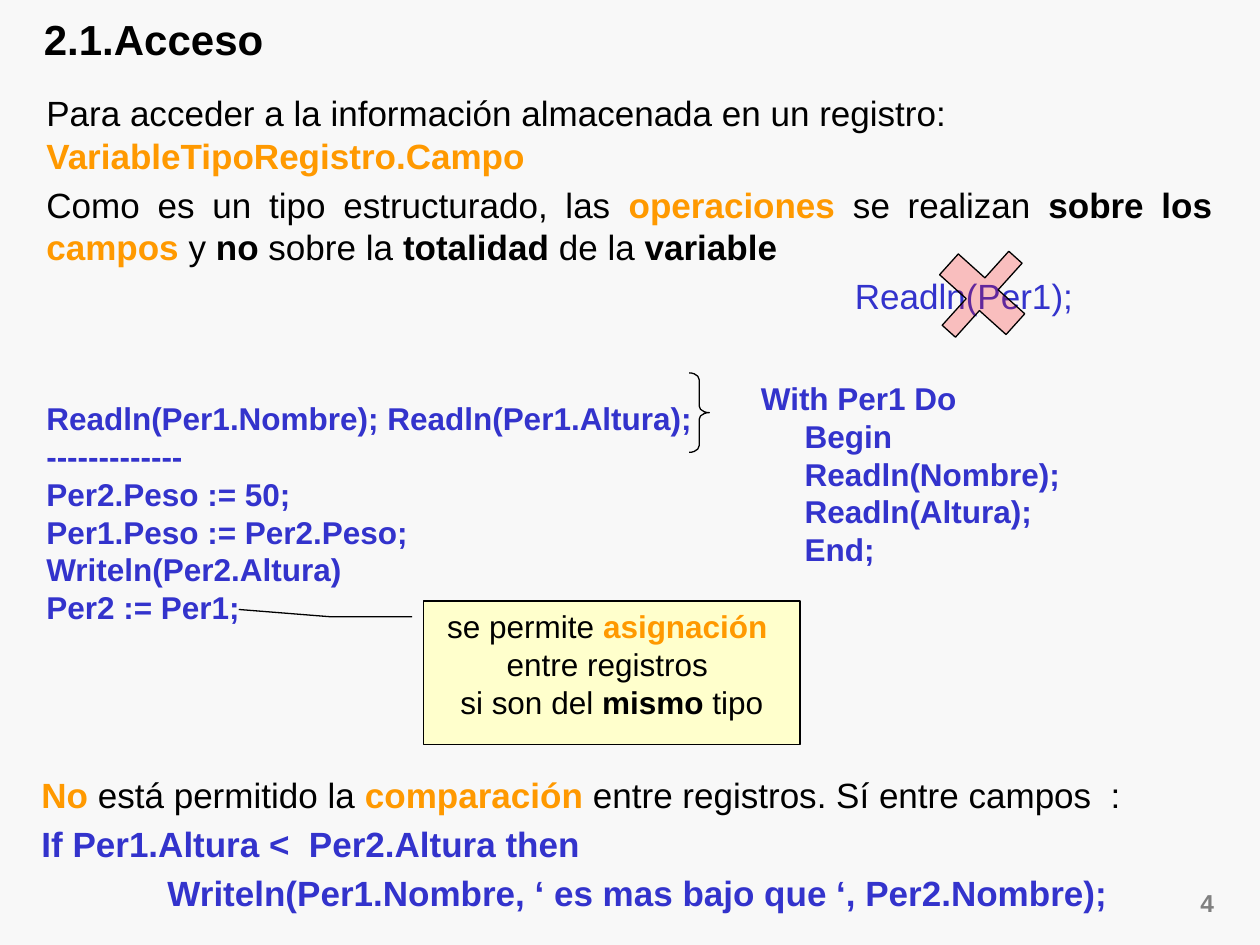
from lxml.etree import SubElement
from pptx import Presentation
from pptx.dml.color import RGBColor
from pptx.enum.shapes import MSO_SHAPE
from pptx.enum.text import MSO_ANCHOR, PP_ALIGN
from pptx.oxml.ns import qn
from pptx.util import Pt

HUES = {
    "back": "F8F8F8", "black": "000000", "orange": "FF9900", "blue": "3333CC",
    "gray": "808080", "red": "FF0000", "cream": "FFFFCC",
}
LEFT, MID, RIGHT, FULL = PP_ALIGN.LEFT, PP_ALIGN.CENTER, PP_ALIGN.RIGHT, PP_ALIGN.JUSTIFY


def tint(name):
    return RGBColor.from_string(HUES[name])


def write(lines, box=None, shape=None, size=18, hue="black", bold=False,
          align=LEFT, gap=0, dents=None, anchor=MSO_ANCHOR.TOP):
    if shape is None:
        shape = slide.shapes.add_textbox(*map(Pt, box))
    frame = shape.text_frame
    frame.word_wrap = True
    frame.vertical_anchor = anchor
    for i, line in enumerate(lines):
        para = frame.paragraphs[0] if i == 0 else frame.add_paragraph()
        para.alignment = align[i] if isinstance(align, list) else align
        para.space_before = Pt(gap)
        if dents and dents[i]:
            para._p.get_or_add_pPr().set("marL", str(Pt(dents[i])))
        for part in [line] if isinstance(line, str) else line:
            words, shade, heavy = (part, hue, bold) if isinstance(part, str) else part
            run = para.add_run()
            run.text = words
            font = run.font
            font.name, font.size, font.bold = "Arial", Pt(size), heavy
            font.color.rgb = tint(shade)


def draw(kind, box, ratios, fill=None):
    shape = slide.shapes.add_shape(kind, *map(Pt, box))
    shape.shadow.inherit = False
    for i, ratio in enumerate(ratios):
        shape.adjustments[i] = ratio
    if fill:
        shape.fill.solid()
        shape.fill.fore_color.rgb = tint(fill)
    else:
        shape.fill.background()
    shape.line.color.rgb = tint("black")
    shape.line.width = Pt(0.75)
    return shape


deck = Presentation()
deck.slide_width, deck.slide_height = Pt(720), Pt(540)
slide = deck.slides.add_slide(deck.slide_layouts[6])
slide.background.fill.solid()
slide.background.fill.fore_color.rgb = tint("back")

write(["4"], box=(654, 504, 46.8, 24), size=14, hue="gray", bold=True, align=RIGHT)
write(["2.1.Acceso"], box=(18, 3.6, 687.6, 37.4), size=24, bold=True,
      anchor=MSO_ANCHOR.MIDDLE)

write([
    ["Para acceder a la información almacenada en un registro: ",
     ("VariableTipoRegistro.Campo", "orange", True)],
    ["Como es un tipo estructurado, las ", ("operaciones", "orange", True),
     " se realizan ", ("sobre los ", "black", True), ("campos ", "orange", True),
     "y ", ("no ", "black", True), "sobre la ", ("totalidad ", "black", True),
     "de la ", ("variable", "black", True)],
    [("Readln(Per1);", "blue", False)],
], box=(19.4, 49, 680.4, 138.2), size=20, gap=4, align=[LEFT, FULL, LEFT],
    dents=[0, 0, 462])

write([
    "Readln(Per1.Nombre); Readln(Per1.Altura);",
    "-------------",
    "Per2.Peso := 50;",
    "Per1.Peso := Per2.Peso;",
    "Writeln(Per2.Altura)",
    "Per2 := Per1;",
], box=(19.4, 224.6, 386, 158.4), hue="blue", bold=True)

write([
    [("No", "orange", True), (" está permitido la ", "black", False),
     ("comparación", "orange", True),
     (" entre registros. Sí entre campos  :", "black", False)],
    "If Per1.Altura <  Per2.Altura then",
    "Writeln(Per1.Nombre, ‘ es mas bajo que ‘, Per2.Nombre);",
], box=(16.6, 438.5, 672.5, 118.8), size=20, hue="blue", bold=True,
    align=FULL, gap=4, dents=[0, 0, 72])

cross = draw(MSO_SHAPE.CROSS, (535.7, 139.7, 51.1, 56.9), [0.4], fill="red")
cross.rotation = 42
shade = cross._element.spPr.find(qn("a:solidFill"))[0]
SubElement(shade, qn("a:alpha")).set("val", "23000")

note = draw(MSO_SHAPE.LINE_CALLOUT_2, (241.9, 343.4, 215.3, 82.1),
            [0.11, -0.03, 0.11, -0.25, 0.06, -0.49], fill="cream")
write([
    ["se permite ", ("asignación ", "orange", True)],
    "entre registros ",
    ["si son del ", ("mismo", "black", True), " tipo"],
], shape=note, align=MID)

write([
    "With Per1 Do",
    "Begin",
    "Readln(Nombre);",
    "Readln(Altura);",
    "End;",
], box=(427.7, 213.1, 207.4, 115.2), hue="blue", bold=True, dents=[0] + [25] * 4)

draw(MSO_SHAPE.RIGHT_BRACE, (393.8, 213.1, 11.5, 45.4), [0.33, 0.5])

deck.save("out.pptx")
